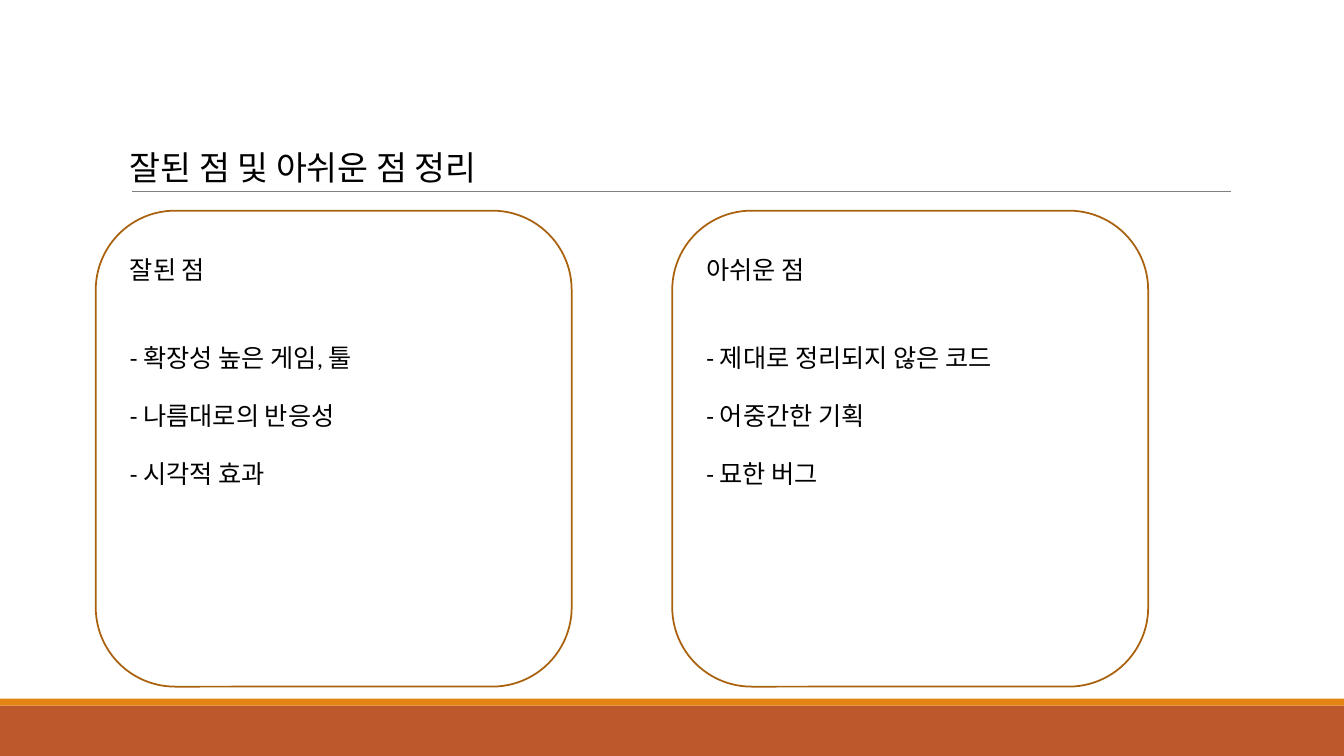
from pptx import Presentation
from pptx.dml.color import RGBColor
from pptx.enum.shapes import MSO_CONNECTOR, MSO_SHAPE
from pptx.enum.text import MSO_AUTO_SIZE
from pptx.oxml.ns import qn
from pptx.util import Pt

RECTANGLE, ROUNDED = MSO_SHAPE.RECTANGLE, MSO_SHAPE.ROUNDED_RECTANGLE
STRAIGHT = MSO_CONNECTOR.STRAIGHT
FIT_SHAPE = MSO_AUTO_SIZE.SHAPE_TO_FIT_TEXT

BLACK = RGBColor(0x00, 0x00, 0x00)
GRAY = RGBColor(0x80, 0x80, 0x80)
RUST = RGBColor(0xBD, 0x58, 0x2C)
ORANGE = RGBColor(0xE4, 0x83, 0x12)
BROWN = RGBColor(0xA9, 0x61, 0x0D)

SLIDE_WIDTH, SLIDE_HEIGHT = 960, 540
CARD_SIZE, CARD_TOP = 340, 150.5
TEXT_INSET, HEADING_DROP, POINTS_DROP, POINT_STEP = 17.3, 27.4, 90.7, 41.4

# Each card: left edge, (heading, width), [(point, width), ...]
CARDS = [
    (68.4, ("잘된 점", 73.4),
     [("- 확장성 높은 게임, 툴", 186.5), ("- 나름대로의 반응성", 173.5),
      ("- 시각적 효과", 119.5)]),
    (480.2, ("아쉬운 점", 91.4),
     [("- 제대로 정리되지 않은 코드", 236.9), ("- 어중간한 기획", 137.5),
      ("- 묘한 버그", 100.8)]),
]


def add_label(slide, text, left, top, width, size):
    """Place one unwrapped line of text with its box at left, top."""
    label = slide.shapes.add_textbox(Pt(left), Pt(top), Pt(width), Pt(size * 1.2 + 7.2))
    frame = label.text_frame
    for name, value in {"word_wrap": False, "auto_size": FIT_SHAPE}.items():
        setattr(frame, name, value)
    run = frame.paragraphs[0].add_run()
    run.text = text
    for name, value in {"name": "Calibri", "size": Pt(size)}.items():
        setattr(run.font, name, value)
    run.font.color.rgb = BLACK


def add_footer(slide, left, top, width, height):
    """Fill the box with a thin orange strip above a rust band."""
    strip = 5
    for color, drop, thickness in ((RUST, strip, height - strip), (ORANGE, 0, strip)):
        band = slide.shapes.add_shape(
            RECTANGLE, Pt(left), Pt(top + drop), Pt(width), Pt(thickness))
        band.shadow.inherit = False
        band.fill.solid()
        band.fill.fore_color.rgb = color
        band.line.fill.background()


def add_title(slide, left, top, width, height):
    """Write the title in the box and rule off its bottom edge."""
    bottom = top + height
    rule = slide.shapes.add_connector(
        STRAIGHT, Pt(left), Pt(bottom), Pt(left + width), Pt(bottom))
    rule.line.color.rgb = GRAY
    rule.line.width = Pt(0.5)
    properties = rule._element.spPr
    properties.append(properties.makeelement(qn("a:effectLst"), {}))
    add_label(slide, "잘된 점 및 아쉬운 점 정리", left - 8.6, top, 283.7, 24)


def add_card(slide, left, top, size, heading, points):
    """Draw a rounded square with a heading and evenly spaced points."""
    card = slide.shapes.add_shape(ROUNDED, Pt(left), Pt(top), Pt(size), Pt(size))
    card.shadow.inherit = False
    card.fill.background()
    card.line.color.rgb = BROWN
    card.line.width = Pt(1.25)
    text_left = left + TEXT_INSET
    heading_text, heading_width = heading
    add_label(slide, heading_text, text_left, top + HEADING_DROP, heading_width, 18)
    for row, (point, width) in enumerate(points):
        point_top = top + POINTS_DROP + row * POINT_STEP
        add_label(slide, point, text_left, point_top, width, 18)


def build():
    """Assemble and save the slide."""
    deck = Presentation()
    deck.slide_width, deck.slide_height = Pt(SLIDE_WIDTH), Pt(SLIDE_HEIGHT)
    slide = deck.slides.add_slide(deck.slide_layouts[6])
    add_footer(slide, 0, 499, SLIDE_WIDTH, 41)
    add_title(slide, 94.3, 101.5, 784.8, 35.3)
    for left, heading, points in CARDS:
        add_card(slide, left, CARD_TOP, CARD_SIZE, heading, points)
    deck.save("out.pptx")


build()
